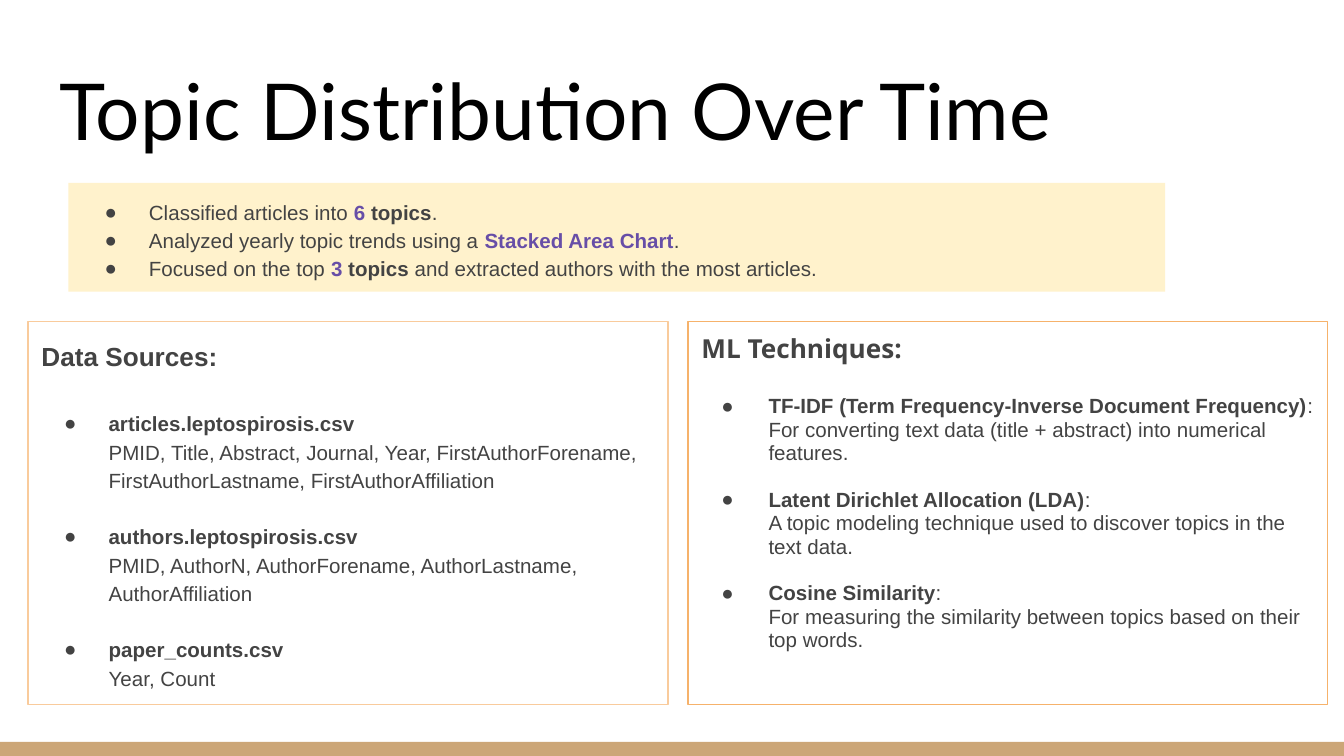
from lxml import etree
from pptx import Presentation
from pptx.dml.color import RGBColor
from pptx.enum import shapes, text
from pptx.oxml.ns import qn
from pptx.util import Inches, Pt

COLORS = {"ink": "434343", "accent": "674EA7", "title": "000000",
          "banner": "FFF2CC", "footer": "CCA677",
          "sources": "F9CB9C", "techniques": "F6B26B"}


def add_box(left, top, width, height, fill=None, line=None):
    """Add a rectangle with equal insets and top-left text."""
    box = slide.shapes.add_shape(shapes.MSO_SHAPE.RECTANGLE, Inches(left),
                                 Inches(top), Inches(width), Inches(height))
    box.shadow.inherit = False
    if fill:
        box.fill.solid()
        box.fill.fore_color.rgb = RGBColor.from_string(COLORS[fill])
    else:
        box.fill.background()
    if line:
        box.line.color.rgb = RGBColor.from_string(COLORS[line])
        box.line.width = Pt(0.75)
    else:
        box.line.fill.background()
    frame = box.text_frame
    frame.word_wrap = True
    frame.vertical_anchor = text.MSO_ANCHOR.TOP
    frame.margin_left = frame.margin_right = Inches(0.1)
    frame.margin_top = frame.margin_bottom = Inches(0.1)
    return frame


def add_line(frame, runs, spacing, size=11, font="Arial", before=0,
             left=0.5, hanging=0):
    """Write one paragraph of (wording, bold, color) runs; hanging adds a bullet."""
    first = frame.paragraphs[0]
    paragraph = first if not first.runs else frame.add_paragraph()
    paragraph.alignment = text.PP_ALIGN.LEFT
    paragraph.line_spacing = spacing
    paragraph.space_before = Pt(before)
    properties = paragraph._p.get_or_add_pPr()
    properties.set("marL", str(Inches(left)))
    properties.set("indent", str(-Inches(hanging)))
    if hanging:
        bullet_color = etree.SubElement(properties, qn("a:buClr"))
        etree.SubElement(bullet_color, qn("a:srgbClr"), val=COLORS["ink"])
        etree.SubElement(properties, qn("a:buFont"), typeface="Arial")
        etree.SubElement(properties, qn("a:buChar"), char="●")
    for wording, bold, color in runs:
        run = paragraph.add_run()
        run.text = wording
        run.font.name = font
        run.font.size = Pt(size)
        run.font.bold = bold
        run.font.color.rgb = RGBColor.from_string(COLORS[color])


prs = Presentation()
prs.slide_width = Inches(10)
prs.slide_height = Inches(10) * 9 // 16
slide = prs.slides.add_slide(prs.slide_layouts[5])

add_box(0, 5.52, 10, 0.11, fill="footer")

title = slide.shapes.title
title.left, title.top = Inches(0.34), Inches(0.35)
title.width, title.height = Inches(9.32), Inches(0.91)
heading = title.text_frame
heading.text = "Topic Distribution Over Time"
heading.auto_size = text.MSO_AUTO_SIZE.NONE
heading.vertical_anchor = text.MSO_ANCHOR.BOTTOM
heading.margin_left = heading.margin_right = Inches(0.1)
heading.margin_top = heading.margin_bottom = Inches(0.1)
heading.paragraphs[0].alignment = text.PP_ALIGN.LEFT
title_font = heading.paragraphs[0].runs[0].font
title_font.name, title_font.size = "Lato", Pt(42)
title_font.color.rgb = RGBColor.from_string(COLORS["title"])

banner = add_box(0.51, 1.36, 8.16, 0.81, fill="banner")
findings = [
    [("Classified articles into ", False, "ink"), ("6", True, "accent"),
     (" topics", True, "ink"), (".", False, "ink")],
    [("Analyzed yearly topic trends using a ", False, "ink"),
     ("Stacked Area Chart", True, "accent"), (".", False, "ink")],
    [("Focused on the top ", False, "ink"), ("3", True, "accent"),
     (" topics", True, "ink"),
     (" and extracted authors with the most articles.", False, "ink")],
]
for finding in findings:
    add_line(banner, finding, 1.15, hanging=0.33)

sources = [
    ("articles.leptospirosis.csv", "PMID, Title, Abstract, Journal, Year, "
     "FirstAuthorForename, FirstAuthorLastname, FirstAuthorAffiliation"),
    ("authors.leptospirosis.csv",
     "PMID, AuthorN, AuthorForename, AuthorLastname, AuthorAffiliation"),
    ("paper_counts.csv", "Year, Count"),
]
techniques = [
    ("TF-IDF (Term Frequency-Inverse Document Frequency)",
     "For converting text data (title + abstract) into numerical features."),
    ("Latent Dirichlet Allocation (LDA)",
     "A topic modeling technique used to discover topics in the text data."),
    ("Cosine Similarity",
     "For measuring the similarity between topics based on their top words."),
]
# left, outline, anchor, heading, font, line spacing, hanging, gaps, term ending, entries
panels = [
    (0.21, "sources", text.MSO_ANCHOR.MIDDLE, "Data Sources:", "Arial",
     1.15, 0.33, (19.5, 15), "", sources),
    (5.12, "techniques", text.MSO_ANCHOR.TOP, "ML Techniques:", "Open Sans",
     0.95, 0.35, (16.3, 12.5), ":", techniques),
]
for left, outline, anchor, name, font, spacing, hanging, gaps, ending, entries in panels:
    panel = add_box(left, 2.39, 4.76, 2.85, line=outline)
    panel.vertical_anchor = anchor
    add_line(panel, [(name, True, "ink")], spacing, size=14, font=font, left=0)
    for index, (term, detail) in enumerate(entries):
        runs = [(term, True, "ink")]
        if ending:
            runs.append((ending, False, "ink"))
        add_line(panel, runs, spacing, before=gaps[min(index, 1)], hanging=hanging)
        add_line(panel, [(detail, False, "ink")], spacing)

prs.save("out.pptx")
